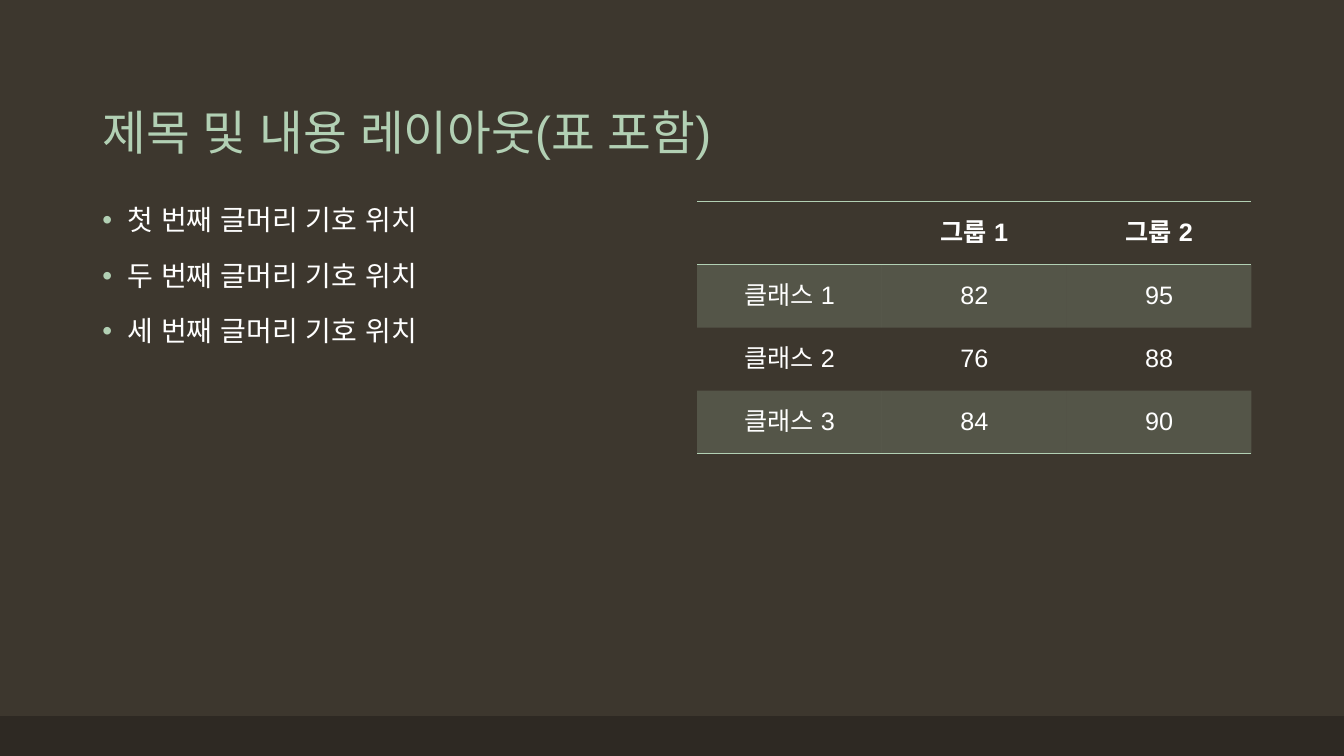
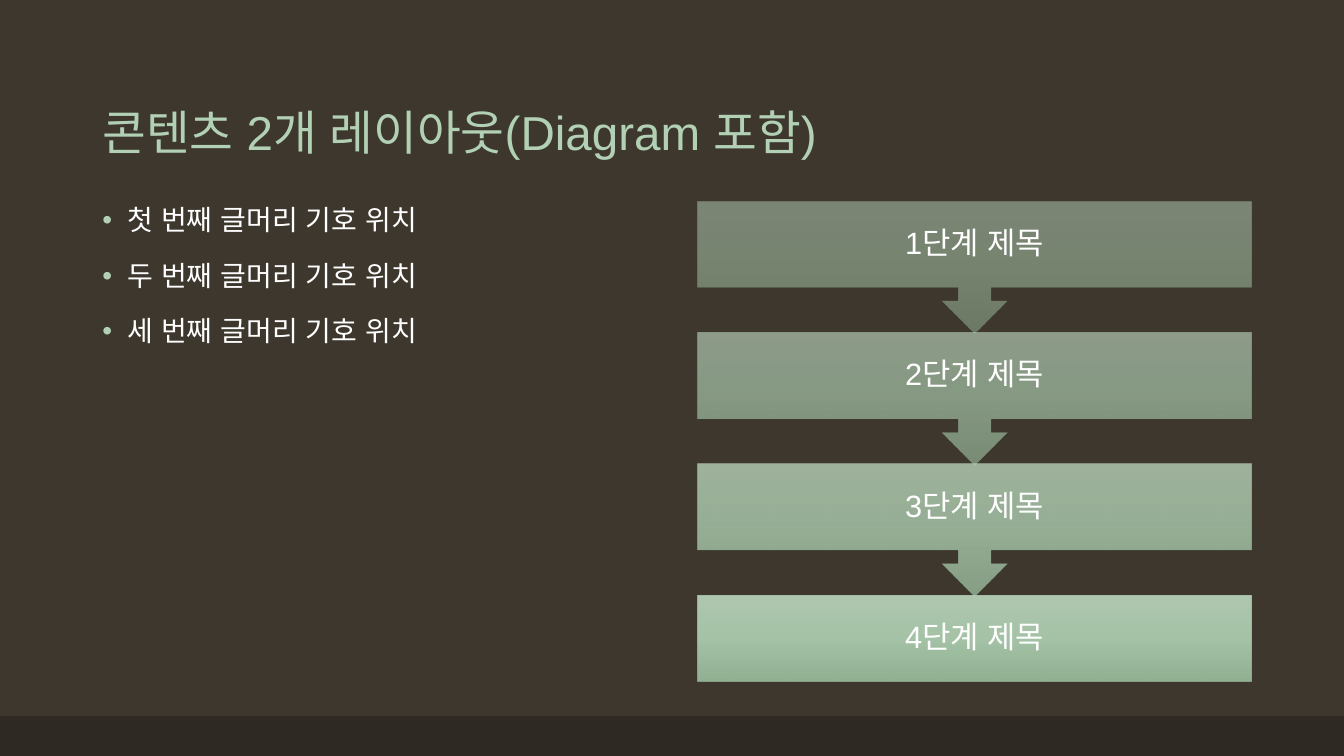
"""Build two content slides: bullets beside a score table, and bullets beside a step flow."""
from lxml.etree import SubElement
from pptx import Presentation
from pptx.dml.color import RGBColor
from pptx.enum.shapes import MSO_SHAPE as Shape
from pptx.enum.text import MSO_ANCHOR as Anchor, MSO_AUTO_SIZE as AutoSize, PP_ALIGN as Align
from pptx.oxml.ns import qn
from pptx.util import Emu, Pt

EMU_PER_PX = 9525
SLIDE_W, SLIDE_H = 1280, 720
BAND_H = 38
LEFT, RIGHT = 88, 664
CONTENT_TOP = 192
TITLE_TOP, TITLE_W, TITLE_H = 38, 1104, 120
COLUMN_W, COLUMN_H = 528, 457
ROW_H = 60
STEP_H, STEP_PITCH, CALLOUT_H = 82, 125, 126
STEP_INSET = 16
BULLET_INDENT = 24

FONT = "Arial"
TITLE_ONLY = 5
NO_GRID_STYLE = "{2D5ABB26-0587-4C30-8999-92F81FD0307C}"

BROWN = RGBColor(0x3D, 0x37, 0x2E)
DARK_BROWN = RGBColor(0x2E, 0x29, 0x23)
MINT = RGBColor(0xB2, 0xD0, 0xB4)
WHITE = RGBColor(0xFF, 0xFF, 0xFF)
STEP_GRADIENT = (
    (0, RGBColor(0xBC, 0xD6, 0xBE)),
    (50, RGBColor(0xB0, 0xD2, 0xB3)),
    (100, RGBColor(0x9B, 0xBC, 0x9D)),
)

BULLETS = ("첫 번째 글머리 기호 위치", "두 번째 글머리 기호 위치", "세 번째 글머리 기호 위치")
SCORES = (
    ("", "그룹 1", "그룹 2"),
    ("클래스 1", "82", "95"),
    ("클래스 2", "76", "88"),
    ("클래스 3", "84", "90"),
)
STEPS = (("1단계 제목", 50), ("2단계 제목", 63), ("3단계 제목", 77), ("4단계 제목", 90))


def px(*lengths):
    return [Emu(length * EMU_PER_PX) for length in lengths]


def add_run(paragraph, text, size, color=WHITE, bold=False):
    run = paragraph.add_run()
    run.text = text
    run.font.name = FONT
    run.font.size = Pt(size)
    run.font.bold = bold
    run.font.color.rgb = color
    SubElement(run._r.get_or_add_rPr(), qn("a:ea"), typeface=FONT)


def add_color(parent, color, opacity=100):
    srgb = SubElement(parent, qn("a:srgbClr"), val=str(color))
    if opacity < 100:
        SubElement(srgb, qn("a:alpha"), val=str(opacity * 1000))


def add_plain_shape(slide, preset, *box):
    shape = slide.shapes.add_shape(preset, *px(*box))
    shape.shadow.inherit = False
    shape.line.fill.background()
    return shape


def add_slide(prs, heading):
    slide = prs.slides.add_slide(prs.slide_layouts[TITLE_ONLY])
    band = add_plain_shape(slide, Shape.RECTANGLE, 0, SLIDE_H - BAND_H, SLIDE_W, BAND_H)
    band.fill.solid()
    band.fill.fore_color.rgb = DARK_BROWN

    title = slide.shapes.title
    title.left, title.top, title.width, title.height = px(LEFT, TITLE_TOP, TITLE_W, TITLE_H)
    title.text_frame.auto_size = AutoSize.NONE
    title.text_frame.vertical_anchor = Anchor.BOTTOM
    paragraph = title.text_frame.paragraphs[0]
    paragraph.alignment = Align.LEFT
    paragraph.line_spacing = 0.9
    add_run(paragraph, heading, 34, MINT)
    return slide


def add_bullets(slide, items):
    frame = slide.shapes.add_textbox(*px(LEFT, CONTENT_TOP, COLUMN_W, COLUMN_H)).text_frame
    frame.word_wrap = True
    indent = BULLET_INDENT * EMU_PER_PX
    for index, item in enumerate(items):
        paragraph = frame.add_paragraph() if index else frame.paragraphs[0]
        paragraph.line_spacing = 0.9
        paragraph.space_before = Pt(18)
        add_run(paragraph, item, 20)
        props = paragraph._p.get_or_add_pPr()
        props.set("marL", str(indent))
        props.set("indent", str(-indent))
        add_color(SubElement(props, qn("a:buClr")), MINT)
        SubElement(props, qn("a:buFont"), typeface=FONT)
        SubElement(props, qn("a:buChar"), char="•")


def style_cell(cell, edges, shaded):
    props = cell._tc.get_or_add_tcPr()
    for edge in edges:
        border = SubElement(props, qn(f"a:{edge}"), w=str(Pt(1)))
        add_color(SubElement(border, qn("a:solidFill")), MINT)
    if shaded:
        add_color(SubElement(props, qn("a:solidFill")), MINT, 20)
    else:
        SubElement(props, qn("a:noFill"))


def add_score_table(slide, rows):
    last = len(rows) - 1
    table = slide.shapes.add_table(
        len(rows), len(rows[0]), *px(RIGHT, CONTENT_TOP, COLUMN_W, ROW_H * len(rows))
    ).table
    table.horz_banding = False
    table._tbl.tblPr.find(qn("a:tableStyleId")).text = NO_GRID_STYLE
    for row_index, row in enumerate(rows):
        edges = {0: ("lnT", "lnB"), last: ("lnB",)}.get(row_index, ())
        for column_index, value in enumerate(row):
            cell = table.cell(row_index, column_index)
            cell.vertical_anchor = Anchor.MIDDLE
            style_cell(cell, edges, shaded=row_index % 2 == 1)
            if value:
                paragraph = cell.text_frame.paragraphs[0]
                paragraph.alignment = Align.CENTER
                add_run(paragraph, value, 18, bold=row_index == 0)


def fill_gradient(shape, opacity):
    shape.fill.gradient()
    shape.fill.gradient_angle = 270
    stops = shape._element.spPr.find(qn("a:gradFill")).find(qn("a:gsLst"))
    stops.clear()
    for position, color in STEP_GRADIENT:
        add_color(SubElement(stops, qn("a:gs"), pos=str(position * 1000)), color, opacity)


def add_step_flow(slide, steps):
    for index, (label, opacity) in enumerate(steps):
        is_last = index == len(steps) - 1
        preset = Shape.RECTANGLE if is_last else Shape.DOWN_ARROW_CALLOUT
        height = STEP_H if is_last else CALLOUT_H
        top = CONTENT_TOP + index * STEP_PITCH
        step = add_plain_shape(slide, preset, RIGHT, top, COLUMN_W, height)
        fill_gradient(step, opacity)
        frame = step.text_frame
        frame.word_wrap = True
        frame.vertical_anchor = Anchor.MIDDLE
        frame.margin_left, frame.margin_top, frame.margin_right, frame.margin_bottom = px(
            *[STEP_INSET] * 4
        )
        paragraph = frame.paragraphs[0]
        paragraph.alignment = Align.CENTER
        paragraph.line_spacing = 0.9
        add_run(paragraph, label, 22)


def main():
    prs = Presentation()
    prs.slide_width, prs.slide_height = px(SLIDE_W, SLIDE_H)
    backdrop = prs.slide_master.background.fill
    backdrop.solid()
    backdrop.fore_color.rgb = BROWN

    table_slide = add_slide(prs, "제목 및 내용 레이아웃(표 포함)")
    add_bullets(table_slide, BULLETS)
    add_score_table(table_slide, SCORES)

    flow_slide = add_slide(prs, "콘텐츠 2개 레이아웃(Diagram 포함)")
    add_step_flow(flow_slide, STEPS)
    add_bullets(flow_slide, BULLETS)

    prs.save("out.pptx")


if __name__ == "__main__":
    main()
